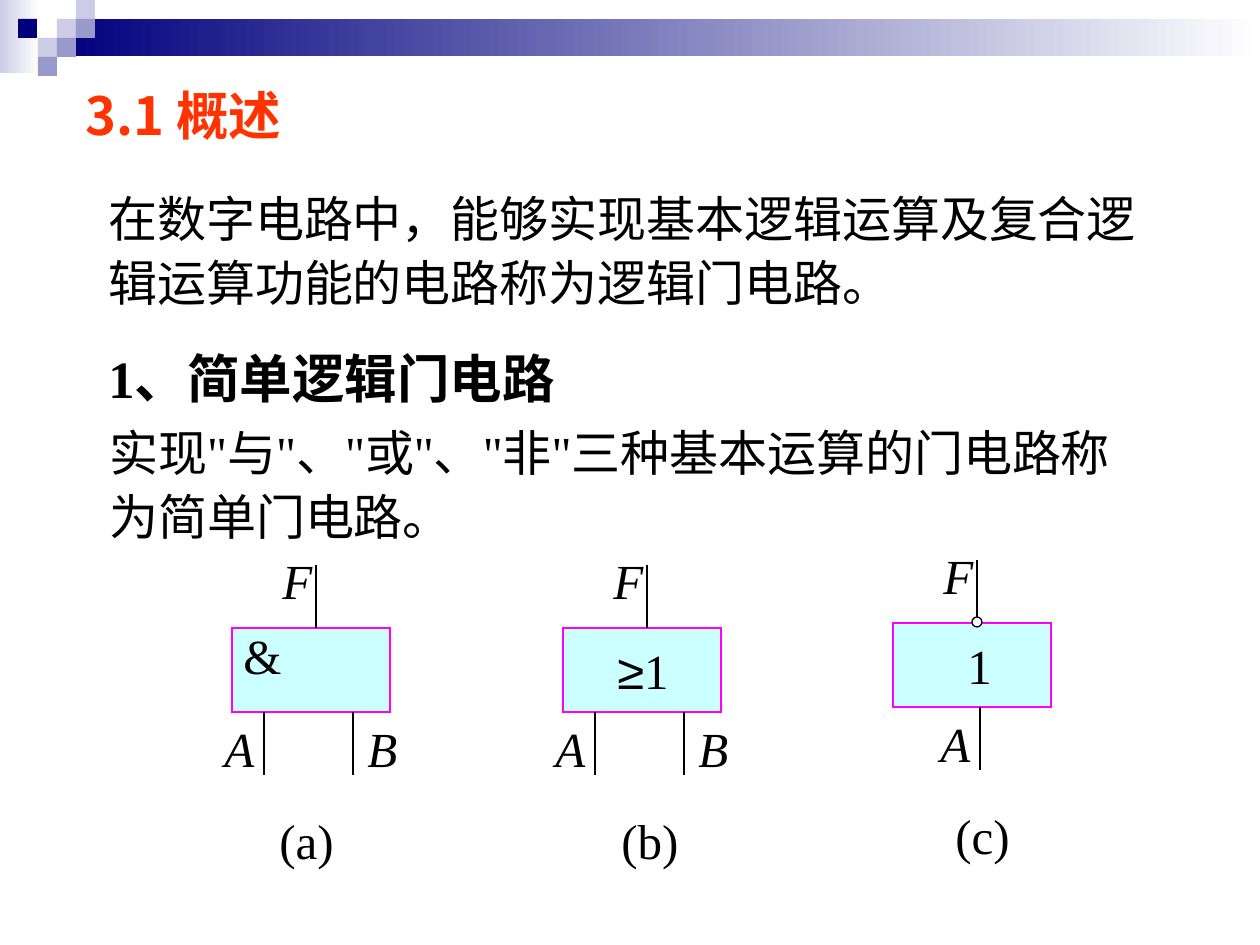
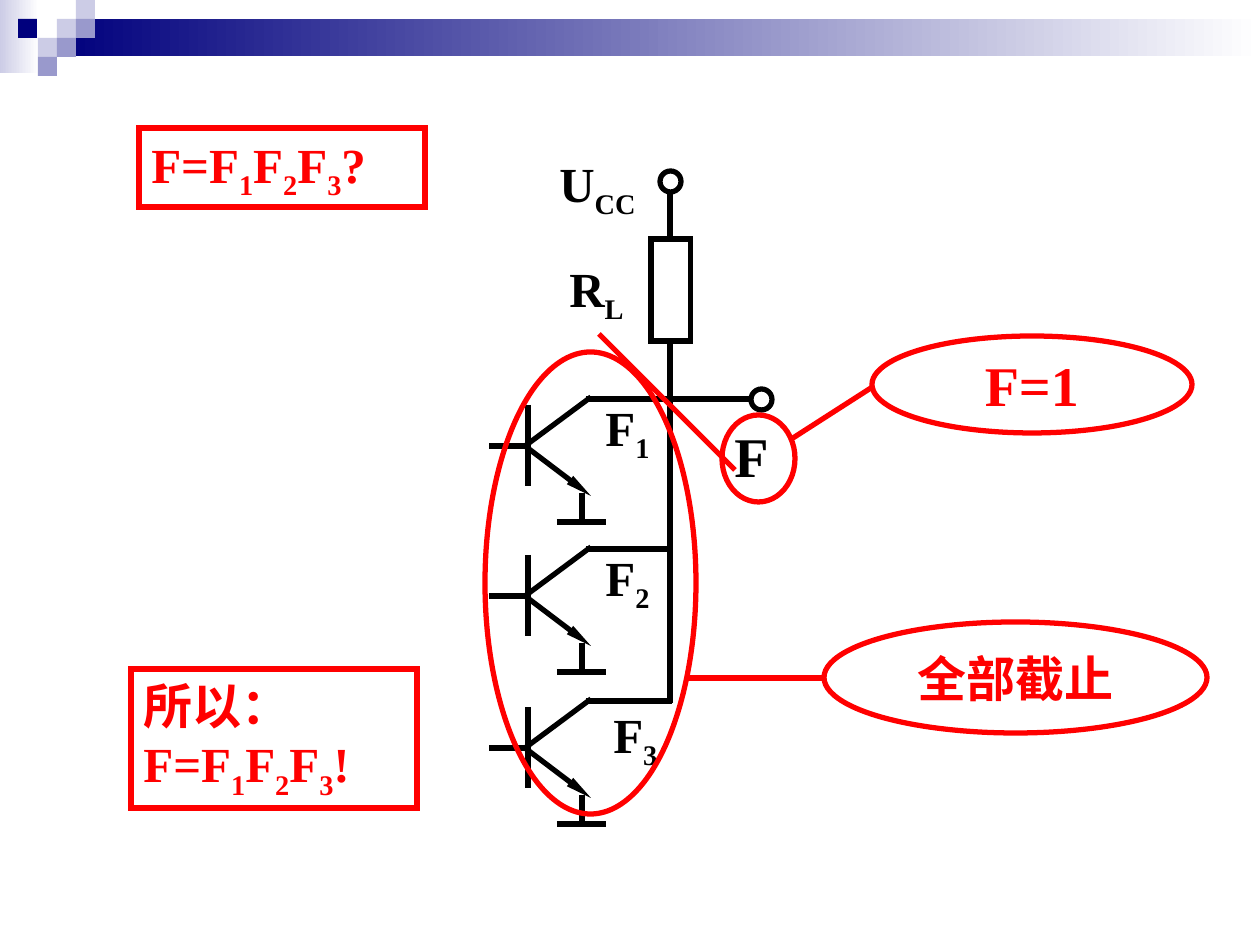
"""Build two slides on logic gate circuits."""
from lxml import etree
from pptx import Presentation
from pptx.dml.color import RGBColor
from pptx.enum.shapes import MSO_CONNECTOR, MSO_SHAPE
from pptx.enum.text import MSO_ANCHOR, PP_ALIGN
from pptx.oxml.ns import qn
from pptx.util import Pt

EMU_PER_PX = 914400 / 126
RECT, OVAL = MSO_SHAPE.RECTANGLE, MSO_SHAPE.OVAL
STRAIGHT = MSO_CONNECTOR.STRAIGHT
LEFT, CENTER = PP_ALIGN.LEFT, PP_ALIGN.CENTER
TOP, MIDDLE = MSO_ANCHOR.TOP, MSO_ANCHOR.MIDDLE
SERIF, SANS, CJK = "Times New Roman", "Arial", "Noto Sans CJK SC"
COLORS = {
    "black": "000000", "white": "FFFFFF", "red": "FF0000", "title": "FF3300",
    "gate": "CCFFFF", "gate_edge": "FF00FF",
    "navy": "00007D", "lavender": "CCCCE6", "violet": "9999CC",
}
SQUARES = [
    (57, 19, "lavender"), (76, 0, "lavender"), (76, 19, "violet"),
    (38, 38, "lavender"), (18, 19, "navy"), (57, 38, "violet"), (38, 57, "violet"),
]
SQUARE_SIZE = 19
GATE_WIDTH, GATE_HEIGHT, LEAD = 158, 84, 63
CAPTION_WIDTH = 95
THICK = 3


def px(length):
    """Turn px into EMU."""
    return round(length * EMU_PER_PX)


def rgb(name):
    """Look up a colour by name."""
    return RGBColor.from_string(COLORS[name])


def write(frame, parts, size=28, font=SERIF, color="black", bold=False, italic=False,
          align=LEFT, anchor=TOP, wrap=True, spacing=None):
    """Write one paragraph from strings or (string, overrides) pairs."""
    frame.word_wrap = wrap
    frame.vertical_anchor = anchor
    para = frame.paragraphs[0]
    para.alignment = align
    if spacing:
        para.line_spacing = spacing
    for part in [parts] if isinstance(parts, str) else parts:
        text, extra = (part, {}) if isinstance(part, str) else part
        span = para.add_run()
        span.text = text
        span.font.size = Pt(size)
        span.font.name = extra.get("font", font)
        span.font.bold = bold
        span.font.italic = italic
        span.font.color.rgb = rgb(color)
        properties = span._r.get_or_add_rPr()
        etree.SubElement(properties, qn("a:ea")).set("typeface", CJK)
        if "baseline" in extra:
            properties.set("baseline", extra["baseline"])


def subscripts(text):
    """Split text at bars and lower every second part."""
    return [(part, {"baseline": "-25000"}) if index % 2 else part
            for index, part in enumerate(text.split("|"))]


def add_text(slide, x, y, width, height, parts, **style):
    """Add a text box."""
    box = slide.shapes.add_textbox(px(x), px(y), px(width), px(height))
    write(box.text_frame, parts, **style)


def add_box(slide, kind, x, y, width, height, fill=None, line=None, weight=THICK):
    """Add a preset shape with an optional fill and a sharp outline."""
    box = slide.shapes.add_shape(kind, px(x), px(y), px(width), px(height))
    box.shadow.inherit = False
    if fill:
        box.fill.solid()
        box.fill.fore_color.rgb = rgb(fill)
    else:
        box.fill.background()
    if line:
        box.line.color.rgb = rgb(line)
        box.line.width = Pt(weight)
        etree.SubElement(box.line._get_or_add_ln(), qn("a:miter")).set("lim", "800000")
    else:
        box.line.fill.background()
    return box


def add_line(slide, x1, y1, x2, y2, color="black", weight=THICK, arrow=False):
    """Add a straight line, with an arrowhead at its end if asked."""
    line = slide.shapes.add_connector(STRAIGHT, px(x1), px(y1), px(x2), px(y2))
    line.line.color.rgb = rgb(color)
    line.line.width = Pt(weight)
    if arrow:
        tail = etree.SubElement(line.line._get_or_add_ln(), qn("a:tailEnd"))
        for key, value in (("type", "triangle"), ("w", "sm"), ("len", "lg")):
            tail.set(key, value)
    etree.SubElement(line._element.spPr, qn("a:effectLst"))


def add_fade(slide, x, y, width, height, color):
    """Add a band that fades to white from left to right."""
    band = add_box(slide, RECT, x, y, width, height)
    band.fill.gradient()
    band.fill.gradient_angle = 0
    for stop, name, position in zip(band.fill.gradient_stops, (color, "white"), (0, 1)):
        stop.color.rgb = rgb(name)
        stop.position = position


def add_slide(deck):
    """Add a blank slide with the band and squares at its top."""
    slide = deck.slides.add_slide(deck.slide_layouts[6])
    add_fade(slide, 0, 0, 39, 73, "lavender")
    add_fade(slide, 57, 19, 1203, 37, "navy")
    for x, y, color in SQUARES:
        add_box(slide, RECT, x, y, SQUARE_SIZE, SQUARE_SIZE, fill=color)
    return slide


def add_gate(slide, x, y, symbol, symbol_at, inputs, caption, caption_dx, inverted=False):
    """Add a gate; inputs are (name, lead offset, label offset)."""
    bottom = y + GATE_HEIGHT
    add_box(slide, RECT, x, y, GATE_WIDTH, GATE_HEIGHT, "gate", "gate_edge", 0.75)
    add_line(slide, x + 84, y, x + 84, y - LEAD, weight=0.75)
    add_text(slide, x + 38, y - 84, 55, 72, "F", italic=True, wrap=False)
    for name, lead_dx, label_dx in inputs:
        add_line(slide, x + lead_dx, bottom + LEAD, x + lead_dx, bottom, weight=0.75)
        add_text(slide, x + label_dx, bottom, 55, 72, name, italic=True, wrap=False)
    dx, dy, width = symbol_at
    add_text(slide, x + dx, y + dy, width, 72, symbol, wrap=False)
    if inverted:
        add_box(slide, OVAL, x + 79, y - 6, 10, 10, "white", "black", 0.75)
    add_text(slide, x + caption_dx, y + 176, CAPTION_WIDTH, 72, caption)


def add_transistor(slide, y, label, label_x, label_y):
    """Add a transistor whose base lead lies at height y."""
    base_x, tip_x, ground_x, bus_x = 525, 591, 582, 672
    add_line(slide, base_x + 3, y - 41, base_x + 3, y + 40)
    add_line(slide, base_x, y, tip_x, y + 50, arrow=True)
    add_line(slide, base_x, y, tip_x, y - 49)
    add_line(slide, base_x, y, 489, y)
    add_line(slide, ground_x, y + 47, ground_x, y + 76)
    add_line(slide, 557, y + 76, 606, y + 76)
    add_line(slide, 586, y - 47, bus_x, y - 47)
    add_text(slide, label_x, label_y, 77, 79, subscripts(label), bold=True)


def build_overview(deck):
    """Build the overview of the simple gates."""
    slide = add_slide(deck)
    add_text(slide, 96, 340, 776, 76, "1、简单逻辑门电路", size=30, bold=True)
    add_text(slide, 97, 410, 1071, 142,
             "实现\"与\"、\"或\"、\"非\"三种基本运算的门电路称为简单门电路。", spacing=1.1)
    pair = [("A", 32, -20), ("B", 121, 123)]
    add_gate(slide, 232, 628, "&", (-1, -9, 63), pair, "(a)", 35)
    add_gate(slide, 563, 628, [("≥", {"font": SANS}), "1"], (42, 6, 88), pair, "(b)", 46)
    add_gate(slide, 893, 623, "1", (62, 6, 49), [("A", 87, 35)], "(c)", 50, inverted=True)
    add_text(slide, 73, 77, 703, 76, "3.1 概述", size=30, font=CJK, color="title", bold=True)
    add_text(slide, 96, 176, 1071, 142,
             "在数字电路中，能够实现基本逻辑运算及复合逻辑运算功能的电路称为逻辑门电路。",
             spacing=1.1)


def add_callout(slide, x, y, width, height, text, size):
    """Add a red ellipse with centred text."""
    oval = add_box(slide, OVAL, x, y, width, height, line="red")
    write(oval.text_frame, text, size=size, color="red", bold=True,
          align=CENTER, anchor=MIDDLE, wrap=False)


def add_formula(slide, x, y, height, text, fill=None):
    """Add a red frame around a formula."""
    frame = add_box(slide, RECT, x, y, 286, height, fill, "red")
    write(frame.text_frame, subscripts(text), color="red", bold=True)


def build_wired_and(deck):
    """Build the circuit of three transistors on one load."""
    slide = add_slide(deck)
    add_transistor(slide, 446, "F|1", 593, 391)
    add_transistor(slide, 596, "F|2", 593, 541)
    add_transistor(slide, 748, "F|3", 601, 698)
    add_box(slide, RECT, 651, 239, 40, 102, line="black")
    add_line(slide, 670, 239, 670, 190)
    add_box(slide, OVAL, 660, 171, 21, 21, line="black")
    add_text(slide, 547, 147, 131, 79, subscripts("U|CC"), bold=True)
    add_line(slide, 670, 341, 670, 703)
    add_line(slide, 670, 399, 751, 399)
    add_box(slide, OVAL, 751, 389, 21, 21, line="black")
    add_text(slide, 557, 252, 147, 79, subscripts("R|L"), bold=True)
    add_text(slide, 722, 415, 97, 81, "F", size=32, bold=True)

    add_box(slide, OVAL, 485, 352, 211, 462, line="red")
    add_line(slide, 686, 678, 824, 678, "red")
    add_callout(slide, 824, 622, 383, 111, "全部截止", 28)
    add_line(slide, 599, 334, 735, 470, "red")
    add_box(slide, OVAL, 722, 415, 73, 87, line="red")
    add_line(slide, 793, 438, 874, 386, "red")
    add_callout(slide, 872, 336, 320, 97, "F=1", 32)
    add_formula(slide, 139, 128, 79, "F=F|1|F|2|F|3|?")
    add_formula(slide, 131, 669, 139, "所以：F=F|1|F|2|F|3|!", "white")


def main():
    """Build and save the deck."""
    deck = Presentation()
    deck.slide_width, deck.slide_height = px(1260), px(945)
    build_overview(deck)
    build_wired_and(deck)
    deck.save("out.pptx")


if __name__ == "__main__":
    main()
